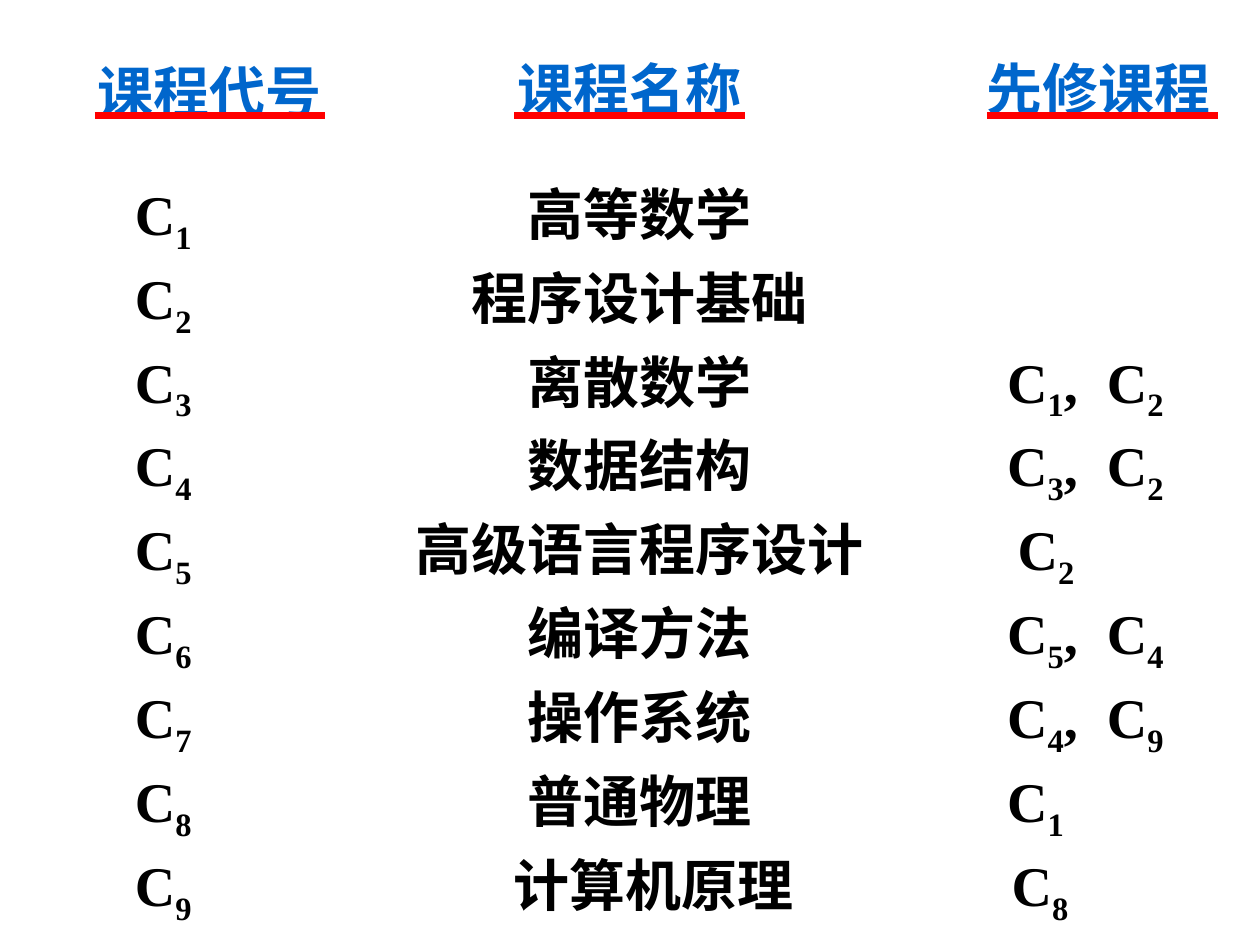
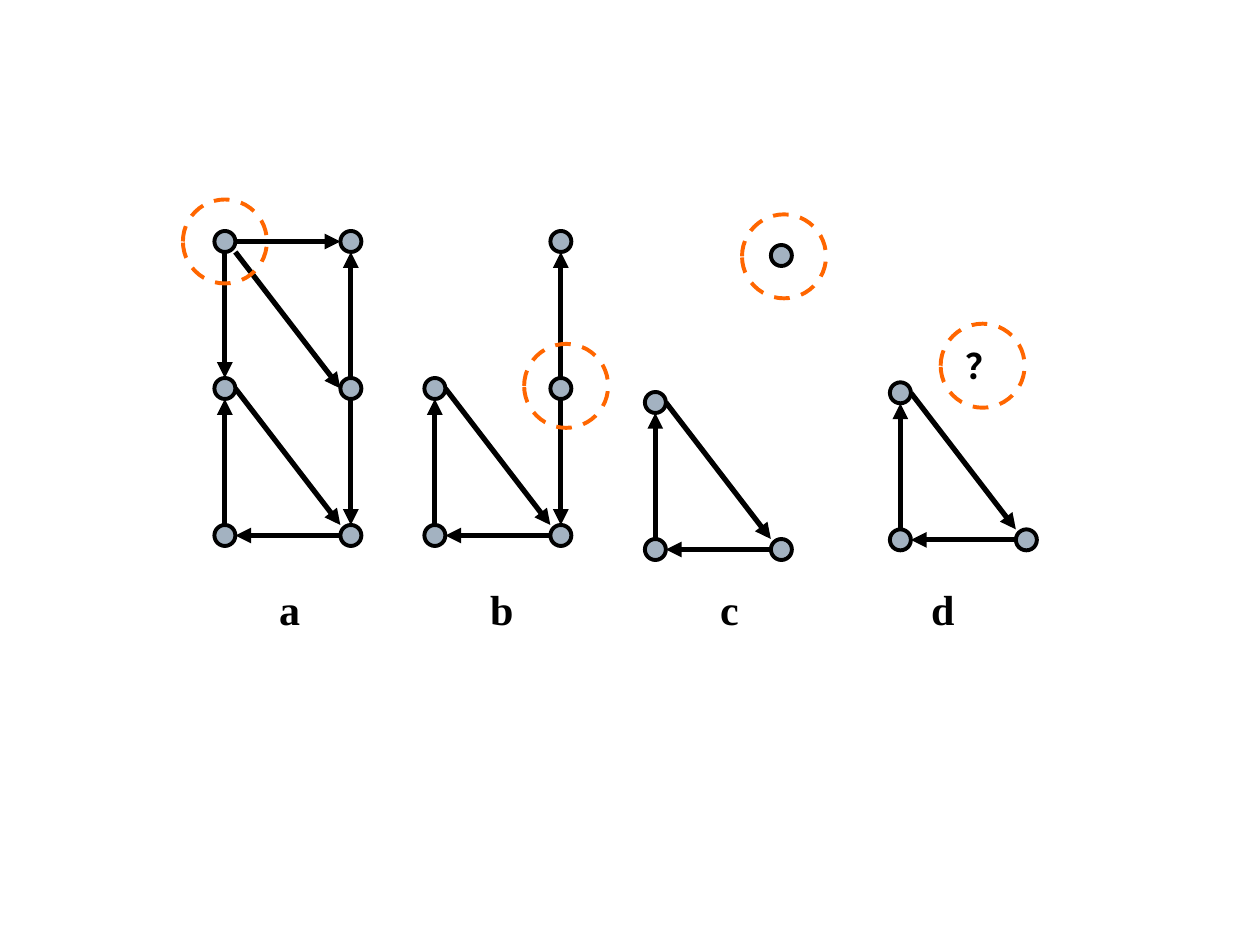
from lxml.etree import SubElement as Sub
from pptx import Presentation
from pptx.dml.color import RGBColor as Rgb
from pptx.enum.dml import MSO_LINE as Dash
from pptx.enum.shapes import MSO_CONNECTOR as Conn, MSO_SHAPE as Form
from pptx.enum.text import MSO_ANCHOR as Anchor, PP_ALIGN as Align
from pptx.oxml.ns import qn
from pptx.util import Pt

HUES = {
    "ink": "000000",
    "head": "0066CC",
    "glow": "99CCFF",
    "rule": "FF0000",
    "node": "A3B2C1",
    "ring": "FF6600",
}
SERIF, HAN, SANS = "Times New Roman", "Noto Sans CJK SC", "DejaVu Sans"

# Course code, course name, codes of the courses needed first
COURSES = [
    ("1", "高等数学", ""),
    ("2", "程序设计基础", ""),
    ("3", "离散数学", "12"),
    ("4", "数据结构", "32"),
    ("5", "高级语言程序设计", "2"),
    ("6", "编译方法", "54"),
    ("7", "操作系统", "49"),
    ("8", "普通物理", "1"),
    ("9", "计算机原理", "8"),
]
# Heading, left, top, width, left end of its rule
HEADS = [
    ("课程代号", 48, 30, 144, 54),
    ("课程名称", 292, 28, 136, 294),
    ("先修课程", 560, 28, 136, 564),
]
RULE_Y, RULE_W = 66, 132
# Tab stops of the course list: name, first need, second need
TABS = [("ctr", 288.5), ("l", 498.5), ("l", 555.5)]
# Rows whose name or needs sit further right
SHIFTS = {"5": (0, 6, 0), "9": (8, 2.5, 0)}

# Graph grid: nodes are (column, row)
RAD, COL, ROW = 6, 72, 84
RING = 24
LOOP = [((1, 2), (0, 2)), ((0, 2), (0, 1)), ((0, 1), (1, 2))]
FORK = [((1, 1), (1, 2)), ((1, 1), (1, 0))]
BASE = [(0, 1), (0, 2), (1, 2)]
# Label, label left, centre of node (0, 0), nodes, edges, ring centre, ring text
GRAPHS = [
    ("a", 152.5, (128.5, 138), BASE + [(0, 0), (1, 0), (1, 1)],
     LOOP + FORK + [((0, 0), (1, 0)), ((0, 0), (0, 1)), ((0, 0), (1, 1))],
     (128.5, 138), ""),
    ("b", 273, (248.5, 138), BASE + [(1, 0), (1, 1)], LOOP + FORK,
     (323.5, 220.5), ""),
    ("c", 404.5, (374.5, 146), BASE + [(1, 0)], LOOP, (448, 146.5), ""),
    ("d", 525, (514.5, 140.5), BASE, LOOP, (561.5, 209), "？"),
]


def hue(name):
    return Rgb.from_string(HUES[name])


def add_run(para, text, size, face, tint="ink", low=False, far=HAN):
    run = para.add_run()
    run.text = text
    font = run.font
    font.size, font.name, font.bold = Pt(size), face, True
    font.color.rgb = hue(tint)
    props = run._r.get_or_add_rPr()
    Sub(props, qn("a:ea"), typeface=far)
    if low:
        props.set("baseline", "-25000")
    return props


def add_box(slide, left, top, width, height, wrap=False):
    box = slide.shapes.add_textbox(Pt(left), Pt(top), Pt(width), Pt(height))
    box.text_frame.word_wrap = wrap
    return box.text_frame


def add_line(slide, start, end, tint, width, arrow=False):
    ends = [Pt(n) for n in (*start, *end)]
    line = slide.shapes.add_connector(Conn.STRAIGHT, *ends)
    line.line.color.rgb, line.line.width = hue(tint), Pt(width)
    props = line._element.spPr
    if arrow:
        Sub(line.line._get_or_add_ln(), qn("a:tailEnd"), type="triangle")
    Sub(props, qn("a:effectLst"))


def add_disc(slide, mid, rad, tint, fill=None):
    x, y = mid
    disc = slide.shapes.add_shape(
        Form.OVAL, Pt(x - rad), Pt(y - rad), Pt(2 * rad), Pt(2 * rad))
    disc.shadow.inherit = False
    disc.line.color.rgb, disc.line.width = hue(tint), Pt(2.25)
    if fill:
        disc.fill.solid()
        disc.fill.fore_color.rgb = hue(fill)
    else:
        disc.fill.background()
    return disc


def add_head(slide, text, left, top, width, start):
    frame = add_box(slide, left, top, width, 32)
    frame.margin_left = frame.margin_right = frame.margin_bottom = 0
    frame.margin_top = Pt(3)
    para = frame.paragraphs[0]
    para.alignment = Align.CENTER
    props = add_run(para, text, 32, HAN, "head")
    # Pale outline round the letters
    edge = Sub(props, qn("a:ln"), w=str(Pt(1.5)))
    Sub(Sub(edge, qn("a:solidFill")), qn("a:srgbClr"), val=HUES["glow"])
    props.insert(0, edge)
    add_line(slide, (start, RULE_Y), (start + RULE_W, RULE_Y), "rule", 4.5)


def add_code(para, num, lead=""):
    add_run(para, lead + "C", 32, SERIF)
    add_run(para, num, 32, SERIF, low=True)


def add_list(slide):
    frame = add_box(slide, 38, 94.5, 652, 440)
    frame.margin_left = Pt(39)
    for i, (num, name, needs) in enumerate(COURSES):
        para = frame.add_paragraph() if i else frame.paragraphs[0]
        para.line_spacing = Pt(48)
        stops = Sub(para._p.get_or_add_pPr(), qn("a:tabLst"))
        for (side, pos), shift in zip(TABS, SHIFTS.get(num, (0, 0, 0))):
            Sub(stops, qn("a:tab"), pos=str(Pt(pos + shift)), algn=side)
        add_code(para, num)
        add_run(para, "\t" + name, 32, SERIF)
        for j, need in enumerate(needs):
            add_code(para, need, ",\t" if j else "\t")


def add_edge(slide, spot, tail, head):
    (x1, y1), (x2, y2) = spot(tail), spot(head)
    if x1 != x2 and y1 != y2:
        # A slanted edge from the top node starts and ends lower
        drop = 0 if tail[1] else RAD
        x1, y1, x2, y2 = x1 + RAD, y1 + drop, x2 - RAD, y2 - RAD + drop
    else:
        dx = RAD * ((x2 > x1) - (x2 < x1))
        dy = RAD * ((y2 > y1) - (y2 < y1))
        x1, y1, x2, y2 = x1 + dx, y1 + dy, x2 - dx, y2 - dy
    add_line(slide, (x1, y1), (x2, y2), "ink", 3, arrow=True)


def add_graph(slide, label, left, base, nodes, edges, ring, mark):
    def spot(node):
        return base[0] + node[0] * COL, base[1] + node[1] * ROW

    for node in nodes:
        add_disc(slide, spot(node), RAD, "ink", "node")
    for tail, head in edges:
        add_edge(slide, spot, tail, head)
    frame = add_box(slide, left, 330, 36, 36, wrap=True)
    add_run(frame.paragraphs[0], label, 24, SERIF)
    # Dashed ring round the node to remove
    disc = add_disc(slide, ring, RING, "ring")
    disc.line.dash_style = Dash.DASH
    if mark:
        frame = disc.text_frame
        frame.word_wrap, frame.vertical_anchor = False, Anchor.MIDDLE
        frame.paragraphs[0].alignment = Align.CENTER
        add_run(frame.paragraphs[0], mark, 20, SANS, far=SANS)


def main():
    deck = Presentation()
    deck.slide_width, deck.slide_height = Pt(720), Pt(540)
    blank = deck.slide_layouts[6]

    # Course table
    slide = deck.slides.add_slide(blank)
    add_list(slide)
    for head in HEADS:
        add_head(slide, *head)

    # Sorting steps
    slide = deck.slides.add_slide(blank)
    for graph in GRAPHS:
        add_graph(slide, *graph)

    deck.save("out.pptx")


if __name__ == "__main__":
    main()
